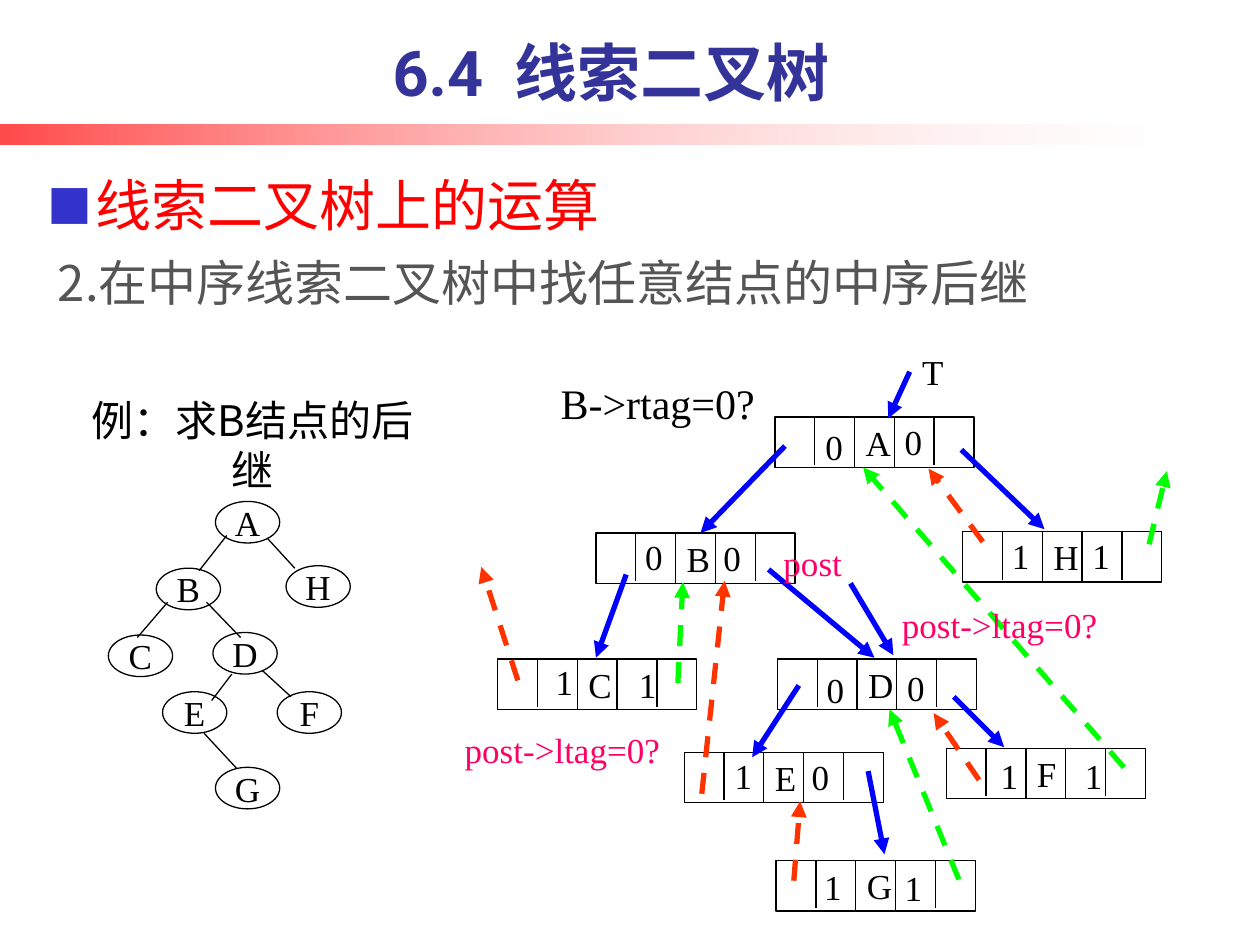
from lxml.etree import SubElement
from pptx import Presentation
from pptx.dml.color import RGBColor
from pptx.enum.dml import MSO_LINE
from pptx.enum.shapes import MSO_CONNECTOR, MSO_SHAPE
from pptx.enum.text import MSO_ANCHOR, MSO_AUTO_SIZE, PP_ALIGN
from pptx.oxml.ns import qn
from pptx.util import Inches, Pt

COLORS = {"black": "000000", "white": "FFFFFF", "title": "333399", "heading": "FF0000",
          "body": "555555", "bullet": "3333CC", "child": "0000FF", "before": "FF3300",
          "after": "00FF00", "note": "FF0066", "bar": "FF0000"}
SERIF, SANS, TITLE_FONT = "Times New Roman", "Noto Sans CJK SC", "Roboto"

TREE_NODES = {"A": (0.85, 0), "B": (0.38, 0.53), "C": (0, 1.06), "D": (0.83, 1.04),
              "E": (0.43, 1.51), "F": (1.34, 1.51), "G": (0.85, 2.11), "H": (1.41, 0.51)}
TREE_EDGES = [(0.94, 0.27, 0.72, 0.55), (0.47, 0.8, 0.23, 1.08), (0.78, 0.8, 1.05, 1.08),
              (0.98, 1.37, 0.82, 1.58), (1.22, 1.34, 1.45, 1.55), (0.76, 1.84, 1.02, 2.12),
              (1.26, 0.29, 1.48, 0.53)]

RECORDS = {
    "A": ((2.35, 0.61), ("0", 0.3, 0.04), ("0", 0.93, 0)),
    "B": ((0.93, 1.53), ("0", 0.29, -0.01), ("0", 0.91, 0)),
    "C": ((0.15, 2.53), ("1", 0.36, -0.02), ("1", 1.02, 0.01)),
    "D": ((2.37, 2.53), ("0", 0.29, 0.05), ("0", 0.93, 0.03)),
    "E": ((1.63, 3.27), ("1", 0.3, -0.01), ("0", 0.91, 0)),
    "F": ((3.71, 3.24), ("1", 0.33, 0.02), ("1", 1, 0.02)),
    "G": ((2.36, 4.13), ("1", 0.28, 0.01), ("1", 0.92, 0.02)),
    "H": ((3.84, 1.52), ("1", 0.29, -0.01), ("1", 0.93, -0.01)),
}
LINKS = {
    "child": [(2.43, 0.84, 1.76, 1.53), (2.3, 1.82, 3.14, 2.52), (3.77, 2.83, 4.17, 3.23),
              (2.54, 2.74, 2.17, 3.31), (3.42, 0.25, 3.25, 0.62), (1.17, 1.86, 0.93, 2.52),
              (3.09, 3.42, 3.22, 4.08), (3.83, 0.87, 4.49, 1.5)],
    "before": [(0.31, 2.7, 0.02, 1.8), (1.77, 3.6, 1.95, 1.91), (3.97, 3.49, 3.61, 2.96),
               (4, 1.6, 3.57, 1.02), (2.5, 4.29, 2.55, 3.66)],
    "after": [(5.12, 3.39, 3.05, 1.01), (1.58, 2.72, 1.62, 1.92), (3.81, 4.28, 3.26, 2.93),
              (5.32, 1.62, 5.46, 1.04)],
}


def rgb(name):
    """Return the named colour."""
    return RGBColor.from_string(COLORS[name])


def add_span(para, text, size, color, font=SERIF, bold=False):
    """Add one formatted run to a paragraph."""
    span = para.add_run()
    span.text = text
    span.font.size, span.font.bold, span.font.name = Pt(size), bold, font
    span.font.color.rgb = rgb(color)
    east_asian = SANS if font == TITLE_FONT else font
    SubElement(span.font._element, qn("a:ea"), typeface=east_asian)


def add_label(shapes, box, text, size=20, color="black", font=SERIF,
              align=PP_ALIGN.LEFT, anchor=MSO_ANCHOR.TOP, wrap=False):
    """Place a text box holding one short label."""
    frame = shapes.add_textbox(*map(Inches, box)).text_frame
    frame.word_wrap, frame.vertical_anchor = wrap, anchor
    frame.paragraphs[0].alignment = align
    add_span(frame.paragraphs[0], text, size, color, font)


def add_outline(shapes, kind, box, text, align, wrap):
    """Place an unfilled shape with a thin outline and a middle-anchored letter."""
    shape = shapes.add_shape(kind, *map(Inches, box))
    shape.shadow.inherit = False
    shape.fill.background()
    shape.line.color.rgb, shape.line.width = rgb("black"), Pt(0.75)
    frame = shape.text_frame
    frame.word_wrap, frame.vertical_anchor = wrap, MSO_ANCHOR.MIDDLE
    frame.paragraphs[0].alignment = align
    add_span(frame.paragraphs[0], text, 20, "black")
    return shape


def add_line(shapes, left, top, ends, color="black", arrow=False, dashed=False):
    """Draw a line whose ends are relative to left and top."""
    x1, y1, x2, y2 = ends
    line = shapes.add_connector(MSO_CONNECTOR.STRAIGHT, Inches(left + x1), Inches(top + y1),
                                Inches(left + x2), Inches(top + y2))
    line.line.color.rgb = rgb(color)
    line.line.width = Pt(3 if arrow else 0.75)
    if dashed:
        line.line.dash_style = MSO_LINE.DASH
    properties = line._element.spPr
    if arrow:
        SubElement(properties.find(qn("a:ln")), qn("a:tailEnd"), type="triangle")
    SubElement(properties, qn("a:effectLst"))


def add_bar(page, box):
    """Place the fading red bar below the title."""
    bar = page.shapes.add_shape(MSO_SHAPE.RECTANGLE, *map(Inches, box))
    bar.shadow.inherit = False
    bar.line.fill.background()
    bar.fill.gradient()
    bar.fill.gradient_angle = 0
    for stop, color in zip(bar.fill.gradient_stops, ("bar", "white")):
        stop.color.rgb = rgb(color)
    for tint, alpha in zip(bar._element.spPr.iter(qn("a:srgbClr")), ("71000", "18000")):
        SubElement(tint, qn("a:alpha"), val=alpha)


def place_holder(holder, box, anchor):
    """Move a placeholder and return its first paragraph."""
    holder.left, holder.top, holder.width, holder.height = map(Inches, box)
    frame = holder.text_frame
    frame.auto_size, frame.vertical_anchor, frame.word_wrap = MSO_AUTO_SIZE.NONE, anchor, True
    frame.paragraphs[0].space_before = Pt(0)
    return frame.paragraphs[0]


def add_title(page, box):
    """Fill the title placeholder."""
    para = place_holder(page.shapes.title, box, MSO_ANCHOR.BOTTOM)
    para.alignment = PP_ALIGN.CENTER
    add_span(para, "6.4  线索二叉树", 36, "title", TITLE_FONT, True)


def add_body(holder, box, text, size, color, spacing, anchor, bulleted):
    """Fill a body placeholder with one hanging line."""
    para = place_holder(holder, box, anchor)
    layout = para._p.get_or_add_pPr()
    layout.set("marL", str(Inches(0.38)))
    layout.set("indent", str(Inches(-0.38)))
    if bulleted:
        tint = SubElement(layout, qn("a:buClr"))
        SubElement(tint, qn("a:srgbClr"), val=COLORS["bullet"])
        SubElement(layout, qn("a:buSzPct"), val="80000")
        SubElement(layout, qn("a:buFont"), typeface=SANS)
        SubElement(layout, qn("a:buChar"), char="■")
    else:
        SubElement(layout, qn("a:buNone"))
    para.line_spacing = spacing
    add_span(para, text, size, color, SANS)


def add_tree(page, left, top):
    """Draw the plain binary tree."""
    shapes = page.shapes.add_group_shape().shapes
    for letter, (x, y) in TREE_NODES.items():
        add_outline(shapes, MSO_SHAPE.OVAL, (left + x, top + y, 0.51, 0.33), letter,
                    PP_ALIGN.CENTER, False)
    for ends in TREE_EDGES:
        add_line(shapes, left, top, ends)


def add_record(shapes, left, top, letter, tags):
    """Draw a five-field node record with its two tags."""
    width, height = 1.58, 0.4
    record = add_outline(shapes, MSO_SHAPE.RECTANGLE, (left, top, width, height), letter,
                         PP_ALIGN.LEFT, True)
    record.text_frame.margin_left = Inches(0.72)
    record.text_frame.margin_right = 0
    for field in range(1, 5):
        x = field * width / 5
        add_line(shapes, left, top, (x, 0, x, 0.38 if field in (1, 4) else height))
    for tag, x, y in tags:
        add_label(shapes, (left + x, top + y, 0.34, 0.39), tag,
                  align=PP_ALIGN.CENTER, anchor=MSO_ANCHOR.MIDDLE)


def add_threaded_tree(page, left, top):
    """Draw the threaded tree with its child links and threads."""
    shapes = page.shapes.add_group_shape().shapes
    for letter, ((x, y), *tags) in RECORDS.items():
        add_record(shapes, left + x, top + y, letter, tags)
    for kind, links in LINKS.items():
        for ends in links:
            add_line(shapes, left, top, ends, kind, True, kind != "child")
    add_label(shapes, (left + 3.42, top + 0.03, 0.37, 0.39), "T")


def add_search_notes(page, left, top):
    """Add the question and the pointer notes around the threaded tree."""
    add_label(page.shapes, (left + 0.55, top + 0.25, 1.74, 0.5), "B->rtag=0?", 24,
              align=PP_ALIGN.CENTER)
    add_line(page.shapes, left, top, (2.95, 1.93, 3.29, 2.5), "child", True)
    add_label(page.shapes, (left + 2.32, top + 1.55, 0.67, 0.44), "post", color="note")
    for x, y in ((3.26, 2.04), (-0.21, 3.03)):
        add_label(page.shapes, (left + x, top + y, 1.76, 0.43), "post->ltag=0?", color="note")


def main():
    """Build and save the slide."""
    deck = Presentation()
    deck.slide_width, deck.slide_height = Inches(10), Inches(7.5)
    page = deck.slides.add_slide(deck.slide_layouts[3])
    add_bar(page, (0, 0.99, 9.29, 0.16))
    add_title(page, (0.59, 0.21, 8.52, 0.71))
    add_body(page.placeholders[1], (0.28, 1.3, 5.52, 0.64), "线索二叉树上的运算",
             32, "heading", 1.15, MSO_ANCHOR.BOTTOM, True)
    add_body(page.placeholders[2], (0.36, 1.84, 8.02, 0.65),
             "2.在中序线索二叉树中找任意结点的中序后继", 28, "body", 1.25, MSO_ANCHOR.TOP, False)
    add_label(page.shapes, (0.49, 3.08, 3.03, 0.5), "例：求B结点的后继", 24, font=SANS,
              align=PP_ALIGN.CENTER, wrap=True)
    add_tree(page, 0.86, 3.98)
    add_threaded_tree(page, 3.8, 2.7)
    add_search_notes(page, 3.8, 2.7)
    deck.save("out.pptx")


if __name__ == "__main__":
    main()
